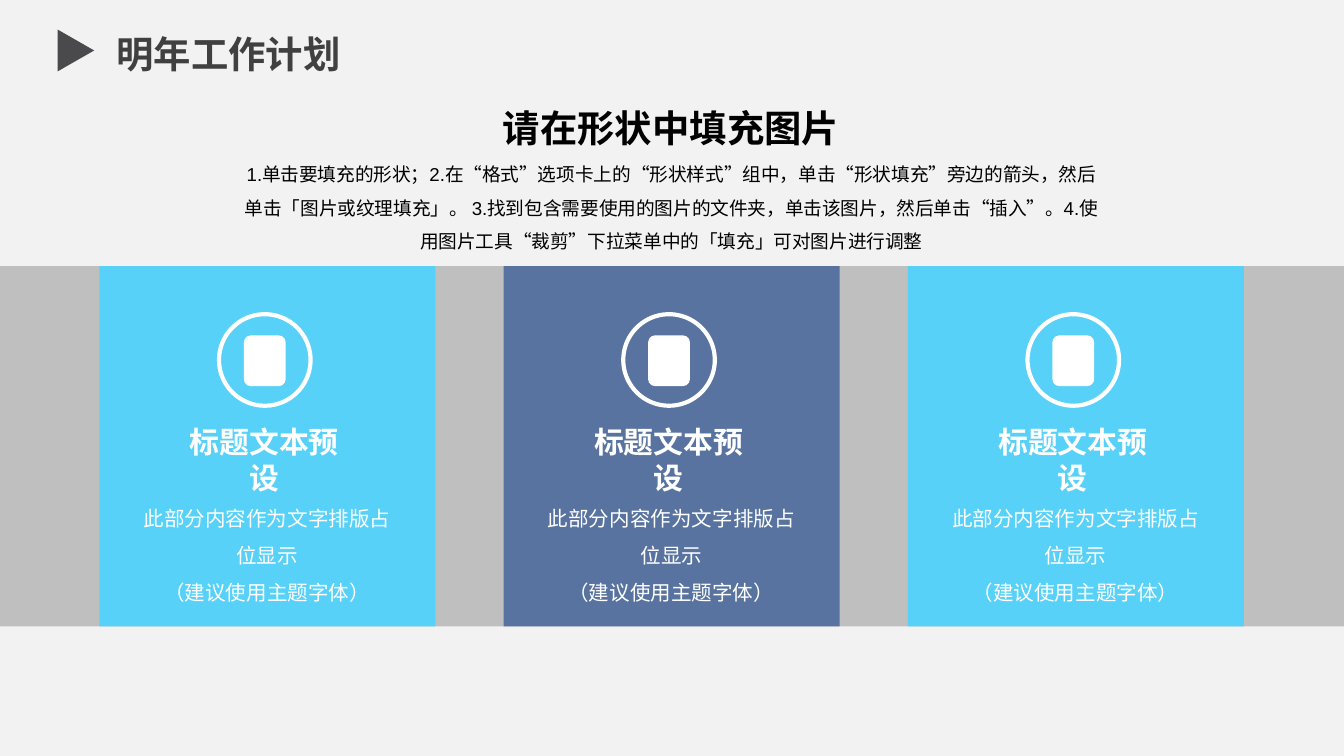
from lxml import etree
from pptx import Presentation
from pptx import util as u
from pptx.dml.color import RGBColor
from pptx.enum import shapes, text
from pptx.oxml import ns

COLOURS = {
    "background": "F2F2F2",
    "marker": "4A4A4C",
    "title": "404040",
    "black": "000000",
    "white": "FFFFFF",
    "band": "BFBFBF",
    "sky": "4DD4FF",
    "navy": "4D6B9C",
}
WIDTH, HEIGHT = u.Cm(25.4), u.Cm(14.29)
CARD_WIDTH, CARD_PITCH, CARD_LEFT = u.Cm(6.35), u.Cm(7.64), u.Cm(1.88)

INSTRUCTIONS = (
    "1.单击要填充的形状；2.在“格式”选项卡上的“形状样式”组中，单击“形状填充”旁边的箭头，"
    "然后单击「图片或纹理填充」。 3.找到包含需要使用的图片的文件夹，单击该图片，"
    "然后单击“插入”。4.使用图片工具“裁剪”下拉菜单中的「填充」可对图片进行调整"
)
CARD_TITLE = "标题文本预设"
CARD_LINES = ["此部分内容作为文字排版占位显示", "（建议使用主题字体）"]


def colour(name):
    return RGBColor.from_string(COLOURS[name])


def place(shape, left, top, width, height):
    shape.left, shape.top, shape.width, shape.height = left, top, width, height


def add_filled(slide, kind, box, fill, opacity=100):
    shape = slide.shapes.add_shape(kind, *box)
    shape.shadow.inherit = False
    shape.line.fill.background()
    shape.fill.solid()
    shape.fill.fore_color.rgb = colour(fill)
    if opacity < 100:
        fill_colour = shape.fill._xPr.find(".//" + ns.qn("a:srgbClr"))
        etree.SubElement(fill_colour, ns.qn("a:alpha"), val=str(opacity * 1000))
    return shape


def write(shape, lines, size, name, font="Calibri", bold=False, spacing=1.0,
          anchor=text.MSO_ANCHOR.TOP, wrap=True):
    frame = shape.text_frame
    frame.word_wrap = wrap
    frame.auto_size = text.MSO_AUTO_SIZE.NONE
    frame.vertical_anchor = anchor
    frame.text = "\n".join(lines)
    for paragraph in frame.paragraphs:
        paragraph.alignment = text.PP_ALIGN.CENTER
        paragraph.line_spacing = spacing
        paragraph.space_before = u.Pt(0)
        if shape.is_placeholder:
            properties = paragraph._p.get_or_add_pPr()
            properties.set("marL", "0")
            properties.set("indent", "0")
            etree.SubElement(properties, ns.qn("a:buNone"))
        paragraph.font.name = font
        paragraph.font.size = u.Pt(size)
        paragraph.font.bold = bold
        paragraph.font.color.rgb = colour(name)


def add_header(slide, left, top, width, height):
    marker = add_filled(
        slide, shapes.MSO_SHAPE.ISOSCELES_TRIANGLE,
        (left + u.Cm(0.3), top + u.Cm(0.2), u.Cm(0.79), u.Cm(0.69)), "marker")
    marker.rotation = 90
    title = slide.shapes.title
    place(title, left, top, width, height)
    write(title, ["明年工作计划"], 20, "title", bold=True,
          anchor=text.MSO_ANCHOR.MIDDLE, wrap=False)
    frame = title.text_frame
    frame.margin_left = frame.margin_right = 0
    frame.margin_top = frame.margin_bottom = 0


def add_introduction(slide, left, top, width, height):
    heading = slide.shapes.add_textbox(left, top, width, u.Cm(0.91))
    write(heading, ["请在形状中填充图片"], 20, "black", bold=True, spacing=1.5,
          anchor=text.MSO_ANCHOR.MIDDLE)
    body = slide.placeholders[1]
    offset = u.Cm(0.99)
    place(body, left, top + offset, width, height - offset)
    write(body, [INSTRUCTIONS], 10, "black", font="Arial", spacing=1.5)


def add_card(slide, left, top, width, height, fill):
    add_filled(slide, shapes.MSO_SHAPE.RECTANGLE, (left, top, width, height),
               fill, opacity=90)

    # Ring with a plain icon
    ring = slide.shapes.add_shape(
        shapes.MSO_SHAPE.OVAL, left + u.Cm(2.26), top + u.Cm(0.91),
        u.Cm(1.73), u.Cm(1.73))
    ring.shadow.inherit = False
    ring.fill.background()
    ring.line.color.rgb = colour("white")
    ring.line.width = u.Pt(2.25)
    add_filled(slide, shapes.MSO_SHAPE.ROUNDED_RECTANGLE,
               (left + u.Cm(2.73), top + u.Cm(1.31), u.Cm(0.79), u.Cm(0.96)),
               "white")

    # Card wording
    title = slide.shapes.add_textbox(
        left + u.Cm(1.35), top + u.Cm(3.28), u.Cm(3.53), u.Cm(0.76))
    write(title, [CARD_TITLE], 16, "white", bold=True,
          anchor=text.MSO_ANCHOR.MIDDLE)
    description = slide.shapes.add_textbox(
        left + u.Cm(0.39), top + u.Cm(4.17), u.Cm(5.56), u.Cm(1.2))
    write(description, CARD_LINES, 11, "white", spacing=1.5)


def add_card_band(slide, left, top, width, height):
    add_filled(slide, shapes.MSO_SHAPE.RECTANGLE, (left, top, width, height),
               "band")
    for index, fill in enumerate(["sky", "navy", "sky"]):
        add_card(slide, left + CARD_LEFT + index * CARD_PITCH, top,
                 CARD_WIDTH, height, fill)


def main():
    presentation = Presentation()
    presentation.slide_width, presentation.slide_height = WIDTH, HEIGHT
    slide = presentation.slides.add_slide(presentation.slide_layouts[1])
    slide.background.fill.solid()
    slide.background.fill.fore_color.rgb = colour("background")

    add_header(slide, u.Cm(0.74), u.Cm(0.41), u.Cm(7.16), u.Cm(1.19))
    add_introduction(slide, u.Cm(4.29), u.Cm(1.75), u.Cm(16.79), u.Cm(2.11))
    add_card_band(slide, u.Cm(0), u.Cm(5.03), WIDTH, u.Cm(6.81))
    presentation.save("out.pptx")


if __name__ == "__main__":
    main()
